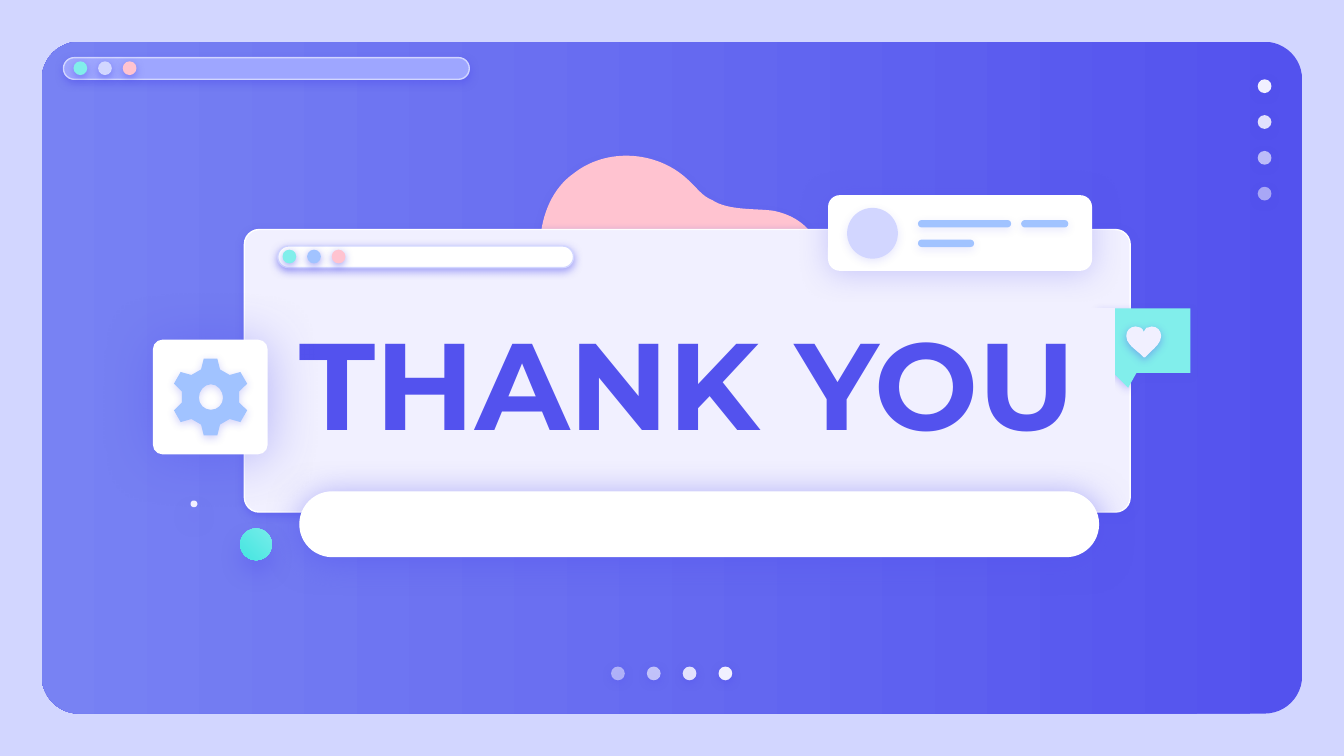
import math
import pptx
import pptx.util
import pptx.dml.color
import pptx.enum.shapes
import pptx.enum.text
import pptx.oxml
import pptx.oxml.ns

Cm = pptx.util.Cm
Pt = pptx.util.Pt
KIND = pptx.enum.shapes.MSO_SHAPE
NS = pptx.oxml.ns.nsdecls("a")
qn = pptx.oxml.ns.qn

INDIGO, LILAC, PALE, WHITE = "5352EE", "D2D6FF", "F1F0FF", "FFFFFF"
AQUA, PINK, SKY = "81EEEB", "FFC3D0", "A1C3FF"
UNIT = Cm(0.0254)
TAGS = {"M": "moveTo", "L": "lnTo", "C": "cubicBezTo", "Z": "close"}


def color(value):
    return pptx.dml.color.RGBColor.from_string(value)


def steps(text):
    parts = (part.split() for part in text.split("/"))
    return [(part[0], [tuple(map(float, pair.split(","))) for pair in part[1:]])
            for part in parts]


def polar(center, radius, degrees):
    angle = math.radians(degrees)
    return center[0] + radius * math.sin(angle), center[1] - radius * math.cos(angle)


def rotate(point, center, degrees):
    angle = math.radians(degrees)
    x, y = point[0] - center[0], point[1] - center[1]
    return (center[0] + x * math.cos(angle) - y * math.sin(angle),
            center[1] + x * math.sin(angle) + y * math.cos(angle))


class Painter:
    def __init__(self, page):
        self.page = page
        self.shapes = page.shapes

    def dress(self, shape, fill, line=None, shadow=None, alpha=100):
        shape.shadow.inherit = False
        properties = shape._element.spPr
        if isinstance(fill, tuple):
            first, last, angle = fill
            shape.fill.gradient()
            shape.fill.gradient_angle = angle
            for stop, value in zip(shape.fill.gradient_stops, (first, last)):
                stop.color.rgb = color(value)
            properties.find(qn("a:gradFill")).set("rotWithShape", "0")
        else:
            shape.fill.solid()
            shape.fill.fore_color.rgb = color(fill)
            if alpha < 100:
                tint = properties.find(".//" + qn("a:srgbClr"))
                tint.append(pptx.oxml.parse_xml(f'<a:alpha {NS} val="{alpha * 1000}"/>'))
        if line:
            shape.line.color.rgb = color(line)
            shape.line.width = Pt(0.75)
        else:
            shape.line.fill.background()
        if shadow:
            strength, blur, distance = shadow
            properties.find(qn("a:effectLst")).append(pptx.oxml.parse_xml(
                f'<a:outerShdw {NS} blurRad="{Pt(blur)}" dist="{Pt(distance)}" '
                f'dir="5400000" algn="bl" rotWithShape="0"><a:srgbClr val="{INDIGO}">'
                f'<a:alpha val="{strength * 1000}"/></a:srgbClr></a:outerShdw>'))

    def shape(self, kind, box, fill, adjust=(), turn=0, shadow=(50, 4.5, 1.5), **style):
        shape = self.shapes.add_shape(kind, *map(Cm, box))
        for index, value in enumerate(adjust):
            shape.adjustments[index] = value
        shape.rotation = turn
        self.dress(shape, fill, shadow=shadow, **style)

    def panel(self, box, fill, corner=0.5, **style):
        self.shape(KIND.ROUNDED_RECTANGLE, box, fill, (corner,), **style)

    def dot(self, left, top, size, fill, **style):
        self.shape(KIND.OVAL, (left, top, size, size), fill, **style)

    def window_bar(self, box, fill, inset, dots):
        left, top = box[:2]
        self.panel(box, fill, line=LILAC)
        for index, value in enumerate(dots):
            self.dot(left + inset + index * 0.465, top + 0.07, 0.26, value)

    def outline(self, box, path_steps, fill, shadow, turn=0):
        left, top, width, height = map(Cm, box)
        right, bottom = left + width, top + height
        builder = self.shapes.build_freeform(left, top, scale=1.0)
        builder.add_line_segments([(right, top), (right, bottom), (left, bottom)])
        shape = builder.convert_to_shape()
        route = shape._element.spPr.find(".//" + qn("a:path"))
        for child in list(route):
            route.remove(child)
        center = (left + width / 2, top + height / 2)
        for letter, points in path_steps:
            step = pptx.oxml.parse_xml(f"<a:{TAGS[letter]} {NS}/>")
            for px, py in points:
                x, y = rotate((px * UNIT, py * UNIT), center, -turn)
                step.append(pptx.oxml.parse_xml(
                    f'<a:pt {NS} x="{round(x - left)}" y="{round(y - top)}"/>'))
            route.append(step)
        shape.rotation = turn
        self.dress(shape, fill, shadow=shadow)

    def title(self, text, box):
        holder = self.shapes.title
        self.shapes._spTree.append(holder._element)
        holder.left, holder.top, holder.width, holder.height = map(Cm, box)
        holder.fill.solid()
        holder.fill.fore_color.rgb = color(PALE)
        frame = holder.text_frame
        frame.text = text
        frame.word_wrap = True
        frame.auto_size = pptx.enum.text.MSO_AUTO_SIZE.NONE
        frame.vertical_anchor = pptx.enum.text.MSO_ANCHOR.MIDDLE
        frame.margin_left = frame.margin_right = Cm(0.25)
        frame.margin_top = frame.margin_bottom = Cm(0.25)
        para = frame.paragraphs[0]
        para.alignment = pptx.enum.text.PP_ALIGN.CENTER
        para.font.name, para.font.size, para.font.bold = "Montserrat", Pt(66), True
        para.font.color.rgb = color(INDIGO)


deck = pptx.Presentation()
deck.slide_width, deck.slide_height = Cm(25.4), Cm(14.29)
page = deck.slides.add_slide(deck.slide_layouts[5])
page.background.fill.solid()
page.background.fill.fore_color.rgb = color(LILAC)
paint = Painter(page)

paint.panel((0.79, 0.79, 23.82, 12.7), (INDIGO, "7882F3", 180), 0.056, shadow=None)
for index, alpha in enumerate((100, 90, 67, 54)):
    paint.dot(23.77, 1.5 + index * 0.677, 0.26, PALE, alpha=alpha)
    paint.dot(13.58 - index * 0.677, 12.6, 0.26, PALE, alpha=alpha)
paint.window_bar((1.2, 1.09, 7.67, 0.41), "9EA6FF", 0.19, (AQUA, LILAC, PINK))

blob = steps(
    "M 679,229/C 680,232 679,235 678,237/C 664,259 640,233 626,228/"
    "C 613,226 599,235 587,240/C 575,243 562,243 552,233/C 545,226 539,220 530,217/"
    "C 518,212 506,212 493,215/C 484,219 472,225 460,228/C 453,229 440,232 431,226/"
    "L 429,227/C 420,221 412,212 406,206/C 405,204 404,202 403,199/"
    "C 401,192 401,184 402,179/C 403,160 411,140 427,129/C 451,110 488,112 511,133/"
    "C 518,139 522,146 530,149/C 542,157 563,155 576,157/C 617,166 607,202 632,209/"
    "C 643,212 651,212 662,213/C 667,214 675,217 677,225/C 678,226 679,227 679,229/Z")
paint.outline((11.15, 1.47, 4.88, 6.68), blob, PINK, (22, 4.5, 1.5), turn=77.1)

paint.panel((4.62, 4.34, 16.74, 5.34), PALE, 0.052, line=WHITE)
paint.window_bar((5.25, 4.65, 5.59, 0.41), WHITE, 0.09, (AQUA, SKY, PINK))
paint.panel((5.67, 9.3, 15.09, 1.22), WHITE, line=WHITE, shadow=(50, 19.1, 1.5))

paint.shape(KIND.ROUNDED_RECTANGULAR_CALLOUT, (20.75, 5.83, 1.75, 1.22), AQUA,
            (-0.174, 0.731, 0), shadow=(31, 4.5, 1.5))
heart = steps(
    "M 845,243/C 841,243 838,246 838,250/C 838,255 842,258 848,263/"
    "C 849,264 850,265 851,266/L 852,266/C 853,265 854,264 855,263/"
    "C 860,258 864,255 864,250/C 864,246 861,243 857,243/C 856,243 855,244 853,244/"
    "C 852,245 852,246 851,247/C 851,246 850,245 849,244/C 848,244 847,243 845,243/Z")
paint.outline((21.29, 6.17, 0.66, 0.58), heart, PALE, (38, 4.5, 1.5))

paint.title("THANK YOU", (4.92, 5.82, 16.15, 2.77))

paint.panel((15.65, 3.69, 4.99, 1.43), WHITE, 0.155, shadow=(25, 16.9, 1.5))
faint = (13, 4.5, 1.5)
paint.dot(16.01, 3.93, 0.96, LILAC, shadow=faint)
for left, top, width in ((17.35, 4.16, 1.76), (19.3, 4.16, 0.89), (17.35, 4.53, 1.06)):
    paint.panel((left, top, width, 0.14), SKY, shadow=faint)

paint.panel((2.89, 6.42, 2.17, 2.17), WHITE, 0.085, shadow=(38, 29.2, 1.5))
hub = (156.7, 295.5)
teeth = [polar(hub, radius, 60 * tooth + offset) for tooth in range(6)
         for radius, offset in ((21.7, -19), (29, -10), (29, 10), (21.7, 19))]
gear = [("M", teeth[:1])] + [("L", [point]) for point in teeth[1:]] + steps(
    "Z/M 157,286/C 162,286 166,291 166,296/C 166,301 162,305 157,305/"
    "C 152,305 148,301 148,296/C 148,291 152,286 157,286/Z")
paint.outline((3.3, 6.78, 1.37, 1.45), gear, SKY, (23, 4.5, 1.5))

soft = (38, 12.4, 6.8)
paint.dot(4.54, 9.99, 0.6, (AQUA, "3AE4DF", 225), turn=45, shadow=soft)
paint.dot(3.6, 9.46, 0.13, PALE, turn=45, shadow=soft)

deck.save("out.pptx")
